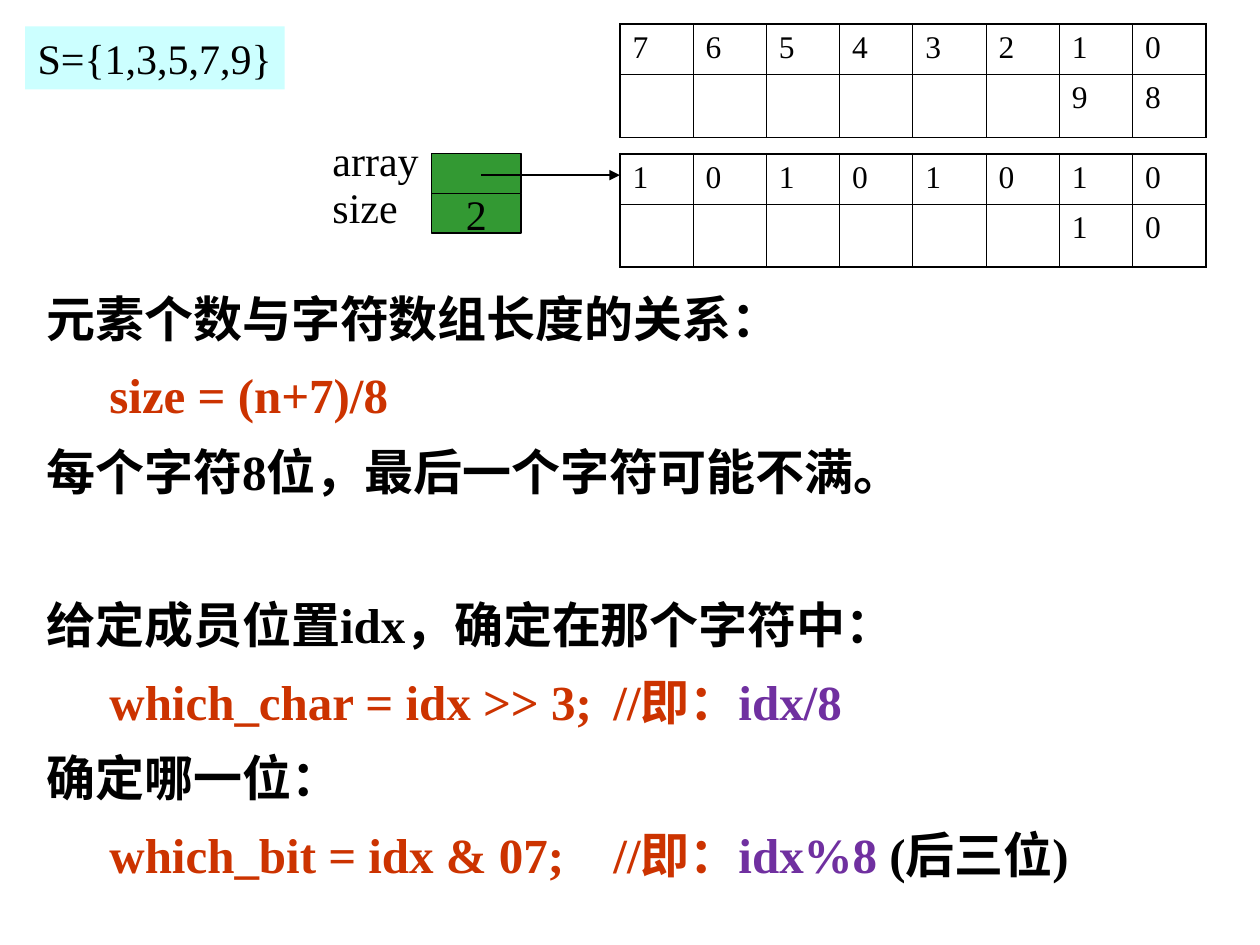
from typing import NamedTuple

from lxml.etree import SubElement
from pptx import Presentation
from pptx.dml.color import RGBColor
from pptx.enum.shapes import MSO_CONNECTOR, MSO_SHAPE
from pptx.enum.text import MSO_ANCHOR, MSO_AUTO_SIZE, PP_ALIGN
from pptx.oxml.ns import qn
from pptx.util import Inches, Length, Pt

BLACK = RGBColor(0x00, 0x00, 0x00)
RED = RGBColor(0xCC, 0x33, 0x00)
PURPLE = RGBColor(0x70, 0x30, 0xA0)
GREEN = RGBColor(0x33, 0x99, 0x33)
CYAN = RGBColor(0xCC, 0xFF, 0xFF)
FONT = "Times New Roman"
COLS, ROWS = 100, 75
WIDE, HIGH = Inches(10), Inches(7.5)
BITS = 8
THICK, THIN = 1.08, 0.45


class Box(NamedTuple):
    """A place in columns and rows of the slide grid."""
    x: float
    y: float
    w: float
    h: float


class Run(NamedTuple):
    text: str
    color: RGBColor = BLACK


class Line(NamedTuple):
    runs: list[Run]
    gap: float = 0


class Label(NamedTuple):
    text: str
    box: Box


class Bits(NamedTuple):
    top: float
    cells: list[str]


class Slot(NamedTuple):
    text: str
    row: int


LINES = [
    Line([Run("元素个数与字符数组长度的关系：")]),
    Line([Run("\t"), Run("size = (n+7)/8", RED)]),
    Line([Run("每个字符8位，最后一个字符可能不满。")]),
    Line([Run("给定成员位置idx，确定在那个字符中：")], gap=44),
    Line([Run("\t"), Run("which_char = idx >> 3;\t//即：", RED), Run("idx/8", PURPLE)]),
    Line([Run("确定哪一位：")]),
    Line([Run("\t"), Run("which_bit = idx & 07;\t//即：", RED),
          Run("idx%8 ", PURPLE), Run("(后三位)")]),
]
TABLES = [
    Bits(1.9, ["76543210", "      98"]),
    Bits(12.2, ["10101010", "      10"]),
]
SLOTS = [Slot("", 0), Slot("2", 1)]
LABELS = [Label("array", Box(25.4, 10.2, 9.2, 5)), Label("size", Box(25.4, 13.9, 9.2, 5))]
SET = Label("S={1,3,5,7,9}", Box(2, 2.1, 20.6, 5))


def col(n: float) -> Length:
    return Length(round(WIDE * n / COLS))


def row(n: float) -> Length:
    return Length(round(HIGH * n / ROWS))


def place(box: Box) -> tuple[Length, ...]:
    return col(box.x), row(box.y), col(box.w), row(box.h)


def write(para, run: Run, size: float, bold: bool = False) -> None:
    part = para.add_run()
    part.text = run.text
    font = part.font
    font.name, font.size, font.bold = FONT, Pt(size), bold
    font.color.rgb = run.color


def indent(para) -> None:
    """Hang the first line by half an inch and set a tab at every inch."""
    props = para._p.get_or_add_pPr()
    props.set("marL", str(Inches(0.5)))
    props.set("indent", str(-Inches(0.5)))
    tabs = SubElement(props, qn("a:tabLst"))
    for n in range(8):
        SubElement(tabs, qn("a:tab"), pos=str(Inches(n)), algn="l")


def draw_lines(slide, box: Box, lines: list[Line]) -> None:
    frame = slide.shapes.add_textbox(*place(box)).text_frame
    frame.word_wrap = True
    frame.auto_size = MSO_AUTO_SIZE.SHAPE_TO_FIT_TEXT
    for n, line in enumerate(lines):
        para = frame.add_paragraph() if n else frame.paragraphs[0]
        indent(para)
        para.line_spacing = 1.3
        if line.gap:
            para.space_before = Pt(line.gap)
        for run in line.runs:
            write(para, run, 28, bold=True)


def edge(cell, side: str, width: float) -> None:
    props = cell._tc.get_or_add_tcPr()
    line = SubElement(props, qn(f"a:ln{side}"), w=str(Pt(width)))
    fill = SubElement(line, qn("a:solidFill"))
    SubElement(fill, qn("a:srgbClr"), val=str(BLACK))


def draw_bits(slide, bits: Bits) -> None:
    """Draw a bit table with thin inner and thick outer borders."""
    heights = [4, 5]
    box = Box(49.2, bits.top, 46.5, sum(heights))
    table = slide.shapes.add_table(len(heights), BITS, *place(box)).table
    table.first_row = table.horz_banding = False
    for column in table.columns:
        column.width = col(box.w / BITS)
    for r, height in enumerate(heights):
        table.rows[r].height = row(height)
        for c in range(BITS):
            cell = table.cell(r, c)
            outer = {"L": c == 0, "R": c == BITS - 1,
                     "T": r == 0, "B": r == len(heights) - 1}
            for side, thick in outer.items():
                edge(cell, side, THICK if thick else THIN)
            cell.fill.background()
            text = bits.cells[r][c].strip()
            if text:
                write(cell.text_frame.paragraphs[0], Run(text), 18)


def add_rect(slide, box: Box, color: RGBColor):
    rect = slide.shapes.add_shape(MSO_SHAPE.RECTANGLE, *place(box))
    rect.shadow.inherit = False
    rect.fill.solid()
    rect.fill.fore_color.rgb = color
    rect.line.fill.background()
    return rect


def draw_slot(slide, slot: Slot) -> None:
    rect = add_rect(slide, Box(34.25, 12.2 + 3.15 * slot.row, 7.1, 3.15), GREEN)
    rect.line.color.rgb = BLACK
    rect.line.width = Pt(0.75)
    if slot.text:
        frame = rect.text_frame
        frame.word_wrap = False
        frame.vertical_anchor = MSO_ANCHOR.MIDDLE
        frame.paragraphs[0].alignment = PP_ALIGN.CENTER
        write(frame.paragraphs[0], Run(slot.text), 24)


def fill_label(shape, text: str) -> None:
    frame = shape.text_frame
    frame.word_wrap = True
    frame.auto_size = MSO_AUTO_SIZE.SHAPE_TO_FIT_TEXT
    frame.vertical_anchor = MSO_ANCHOR.TOP
    frame.paragraphs[0].alignment = PP_ALIGN.LEFT
    write(frame.paragraphs[0], Run(text), 24)


def draw_arrow(slide, start: float, end: float, y: float) -> None:
    arrow = slide.shapes.add_connector(
        MSO_CONNECTOR.STRAIGHT, col(start), row(y), col(end), row(y))
    arrow.line.color.rgb = BLACK
    arrow.line.width = Pt(1.5)
    SubElement(arrow.line._get_or_add_ln(), qn("a:tailEnd"), type="triangle")
    SubElement(arrow._element.spPr, qn("a:effectLst"))


def main() -> None:
    deck = Presentation()
    deck.slide_width, deck.slide_height = WIDE, HIGH
    slide = deck.slides.add_slide(deck.slide_layouts[6])
    draw_lines(slide, Box(2.7, 21, 94.2, 49.6), LINES)
    for bits in TABLES:
        draw_bits(slide, bits)
    for slot in SLOTS:
        draw_slot(slide, slot)
    draw_arrow(slide, 38.2, 49.2, 13.9)
    for label in LABELS:
        fill_label(slide.shapes.add_textbox(*place(label.box)), label.text)
    fill_label(add_rect(slide, SET.box, CYAN), SET.text)
    deck.save("out.pptx")


if __name__ == "__main__":
    main()
